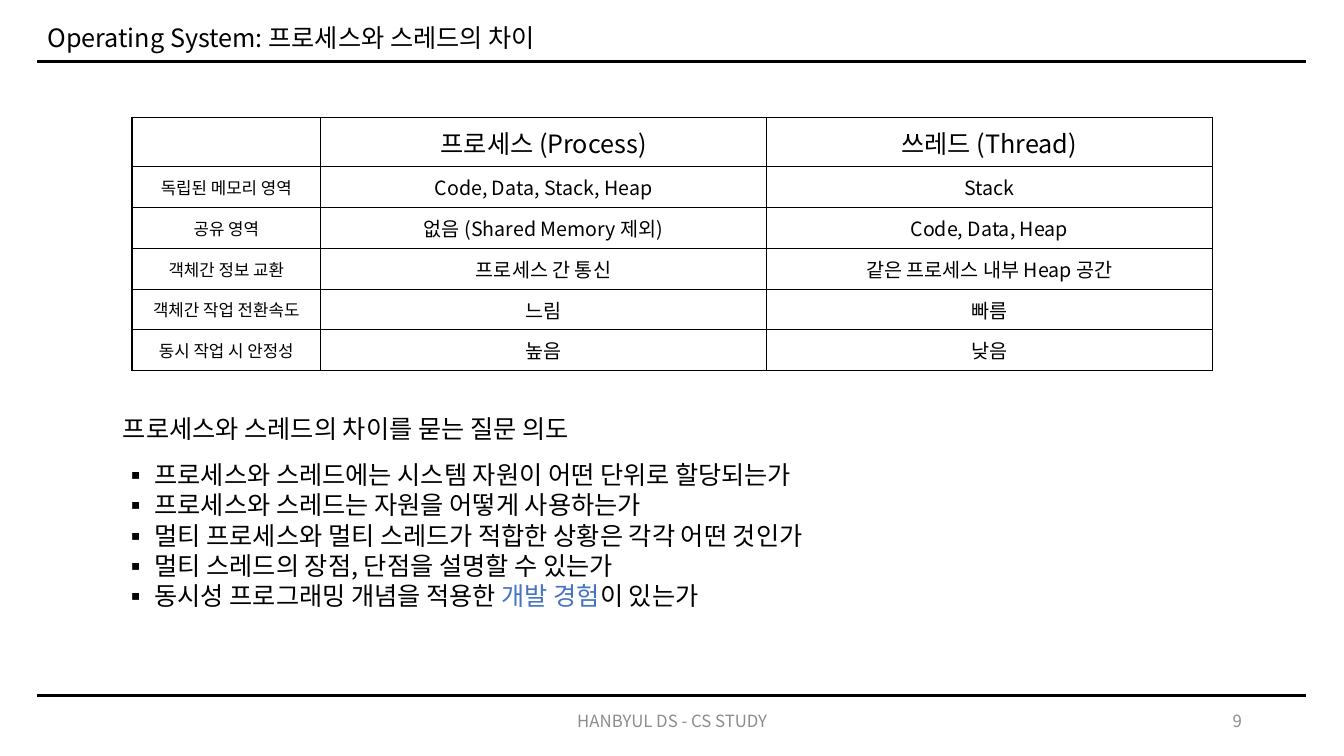
from lxml.etree import SubElement
from pptx import Presentation
from pptx.dml.color import RGBColor
from pptx.enum.shapes import MSO_CONNECTOR
from pptx.enum.text import MSO_ANCHOR, PP_ALIGN
from pptx.oxml import parse_xml
from pptx.oxml.ns import nsdecls, qn
from pptx.util import Pt

FONT = "Noto Sans CJK KR"
HUES = {"ink": "000000", "grey": "8C8C8C", "blue": "4472C4", "page": "FFFFFF"}

ROWS = [
    ["", "프로세스 (Process)", "쓰레드 (Thread)"],
    ["독립된 메모리 영역", "Code, Data, Stack, Heap", "Stack"],
    ["공유 영역", "없음 (Shared Memory 제외)", "Code, Data, Heap"],
    ["객체간 정보 교환", "프로세스 간 통신", "같은 프로세스 내부 Heap 공간"],
    ["객체간 작업 전환속도", "느림", "빠름"],
    ["동시 작업 시 안정성", "높음", "낮음"],
]
POINTS = [
    [("프로세스와 스레드에는 시스템 자원이 어떤 단위로 할당되는가", "ink")],
    [("프로세스와 스레드는 자원을 어떻게 사용하는가", "ink")],
    [("멀티 프로세스와 멀티 스레드가 적합한 상황은 각각 어떤 것인가", "ink")],
    [("멀티 스레드의 장점, 단점을 설명할 수 있는가", "ink")],
    [("동시성 프로그래밍 개념을 적용한 ", "ink"), ("개발 경험", "blue"),
     ("이 있는가", "ink")],
]


def color(hue):
    return RGBColor.from_string(HUES[hue])


def add_run(para, text, size, hue="ink"):
    run = para.add_run()
    run.text = text
    font = run.font
    font.name, font.size, font.bold = FONT, Pt(size), False
    font.color.rgb = color(hue)
    SubElement(run._r.get_or_add_rPr(), qn("a:ea")).set("typeface", FONT)


def add_text(slide, box, text, size, hue="ink", align=PP_ALIGN.LEFT):
    frame = slide.shapes.add_textbox(*map(Pt, box)).text_frame
    frame.word_wrap = True
    frame.vertical_anchor = MSO_ANCHOR.MIDDLE
    para = frame.paragraphs[0]
    para.alignment = align
    add_run(para, text, size, hue)


def add_rule(slide, left, top, width):
    rule = slide.shapes.add_connector(
        MSO_CONNECTOR.STRAIGHT, Pt(left), Pt(top), Pt(left + width), Pt(top))
    rule.line.color.rgb = color("ink")
    rule.line.width = Pt(2.25)
    SubElement(rule._element.spPr, qn("a:effectLst"))


def add_header(slide, box):
    left, top, width, height = box
    title = slide.shapes.title
    title.left, title.top = Pt(left), Pt(top)
    title.width, title.height = Pt(width / 2), Pt(height)
    frame = title.text_frame
    frame.word_wrap = True
    frame.vertical_anchor = MSO_ANCHOR.MIDDLE
    para = frame.paragraphs[0]
    para.alignment = PP_ALIGN.LEFT
    add_run(para, "Operating System: 프로세스와 스레드의 차이", 18)
    add_rule(slide, left, top + 31.8, width)


def add_footer(slide, box):
    left, top, width, height = box
    add_rule(slide, left, top, width)
    add_text(slide, (left + 291.6, top + 3.6, 324, height),
             "HANBYUL DS - CS STUDY", 12, "grey", PP_ALIGN.CENTER)
    add_text(slide, (left + 651.6, top + 3.6, 216, height),
             "9", 12, "grey", PP_ALIGN.RIGHT)


def frame_cell(cell):
    cell.fill.background()
    props = cell._tc.get_or_add_tcPr()
    for spot, side in enumerate(("lnL", "lnR", "lnT", "lnB")):
        props.insert(spot, parse_xml(
            f'<a:{side} {nsdecls("a")} w="12700"><a:solidFill>'
            f'<a:srgbClr val="{HUES["ink"]}"/></a:solidFill></a:{side}>'))


def add_grid(slide, box):
    left, top, width, height = box
    first, head = 134.8, 35.2
    grid = slide.shapes.add_table(
        len(ROWS), len(ROWS[0]), *map(Pt, box)).table
    for col, line in enumerate(grid.columns):
        line.width = Pt((width - first) / 2 if col else first)
    for row, words in enumerate(ROWS):
        grid.rows[row].height = Pt(
            (height - head) / (len(ROWS) - 1) if row else head)
        for col, text in enumerate(words):
            cell = grid.cell(row, col)
            frame_cell(cell)
            cell.vertical_anchor = MSO_ANCHOR.MIDDLE
            para = cell.text_frame.paragraphs[0]
            para.alignment = PP_ALIGN.CENTER
            if text:
                add_run(para, text, 18 if row == 0 else 14 if col else 12)


def add_points(slide, box):
    left, top, width, height = box
    add_text(slide, (left, top, 399, 28.8),
             "프로세스와 스레드의 차이를 묻는 질문 의도", 18)
    frame = slide.shapes.add_textbox(
        Pt(left), Pt(top + 33.1), Pt(width), Pt(height - 33.1)).text_frame
    frame.word_wrap = True
    for spot, runs in enumerate(POINTS):
        para = frame.add_paragraph() if spot else frame.paragraphs[0]
        para.line_spacing = Pt(21.6)
        props = para._p.get_or_add_pPr()
        props.set("marL", str(Pt(22.5)))
        props.set("indent", str(-Pt(22.5)))
        SubElement(props, qn("a:buFont")).set("typeface", FONT)
        SubElement(props, qn("a:buChar")).set("char", "▪")
        for text, hue in runs:
            add_run(para, text, 18, hue)


def main():
    deck = Presentation()
    deck.slide_width, deck.slide_height = Pt(960), Pt(540)
    slide = deck.slides.add_slide(deck.slide_layouts[5])
    slide.background.fill.solid()
    slide.background.fill.fore_color.rgb = color("page")
    add_header(slide, (26.6, 12.2, 906.5, 28.8))
    add_grid(slide, (94.3, 84, 771.6, 180.8))
    add_points(slide, (80.8, 291.6, 852.3, 150))
    add_footer(slide, (26.6, 496.8, 906.5, 28.8))
    deck.save("out.pptx")


if __name__ == "__main__":
    main()
